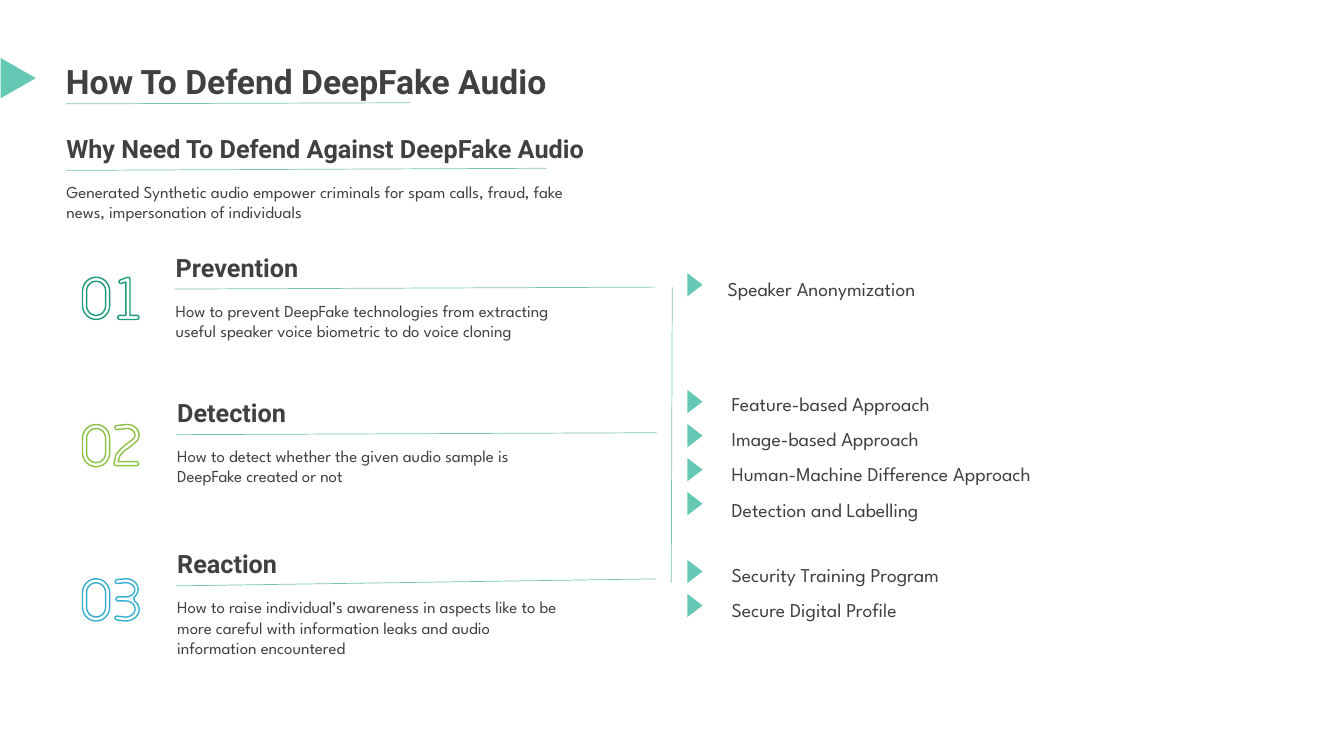
from dataclasses import dataclass
from math import cos, radians, sin

from lxml.etree import SubElement
from pptx import Presentation
from pptx.dml.color import RGBColor
from pptx.enum.shapes import MSO_CONNECTOR, MSO_SHAPE
from pptx.enum.text import MSO_ANCHOR, MSO_AUTO_SIZE, PP_ALIGN
from pptx.oxml.ns import qn
from pptx.util import Pt


@dataclass(frozen=True)
class Theme:
    """Colours, fonts and type sizes of the slide."""
    ink: str = "404040"
    rule: str = "76C4A6"
    accent: str = "64C8B4"
    numbers: tuple = ("1D9A78", "8BC145", "36AFCE")
    head_font: str = "Roboto"
    body_font: str = "League Spartan"
    title: int = 24
    heading: int = 18
    item: int = 14
    body: int = 12
    heading_gap: int = 13


THEME = Theme()

# Each digit is a list of contours made of arcs: centre x, centre y, radius x, radius y, start, end.
ZERO = [
    [(9.7, 10, 9.7, 10, 180, 360), (9.7, 20.2, 9.7, 10, 0, 180)],
    [(9.7, 10, 6.8, 7.1, 180, 360), (9.7, 20.2, 6.8, 7.1, 0, 180)],
]
ONE = [[
    (7.2, 1.45, 1.45, 1.45, -105, 0), (8.65, 27.3, 0, 0, 0, 0),
    (13.6, 28.75, 1.45, 1.45, -90, 90), (1.45, 28.75, 1.45, 1.45, 90, 270),
    (5.75, 27.3, 0, 0, 0, 0), (5.75, 3.4, 0, 0, 0, 0),
    (2.2, 3.2, 1.3, 1.3, 75, 255),
]]
TWO = [[
    (2.1, 2.2, 1.4, 1.4, 80, 260), (9.4, 7.5, 8.5, 7.5, -95, 40),
    (10.8, 16.6, 0, 0, 0, 0), (7.2, 19, 0, 0, 0, 0),
    (4.3, 22.3, 0, 0, 0, 0), (2.9, 26.6, 0, 0, 0, 0),
    (16.2, 28, 1.4, 1.4, -90, 90), (1.4, 28, 1.4, 1.4, 90, 180),
    (1.4, 21.6, 0, 0, 0, 0), (5, 17.3, 0, 0, 0, 0),
    (9.4, 13.7, 0, 0, 0, 0), (9.4, 7.5, 5.6, 4.6, 45, -90),
]]
THREE = [[
    (1.6, 2, 1.4, 1.4, 80, 260), (8, 7.5, 8.6, 7.5, -90, 50),
    (13.7, 14.4, 0, 0, 0, 0), (7.5, 22, 9.8, 8.2, -50, 90),
    (1.5, 28, 1.4, 1.4, 100, 260), (7.5, 21.6, 6.9, 5.8, 90, -90),
    (2.2, 14.4, 1.4, 1.4, 90, 270), (7.4, 7.9, 6.8, 5.1, 90, -90),
]]


def rgb(value):
    """Turn a hex string into a colour."""
    return RGBColor.from_string(value)


def add_run(p, text, size, font, bold=False):
    """Append one formatted run to a paragraph."""
    r = p.add_run()
    r.text = text
    r.font.size, r.font.name, r.font.bold = Pt(size), font, bold
    r.font.color.rgb = rgb(THEME.ink)


def add_title(s, text):
    """Place and format the title placeholder."""
    sp = s.shapes.title
    sp.left, sp.top, sp.width, sp.height = Pt(47), Pt(43.2), Pt(352), Pt(28.8)
    tf = sp.text_frame
    tf.margin_left = tf.margin_right = tf.margin_top = tf.margin_bottom = 0
    tf.vertical_anchor, tf.word_wrap = MSO_ANCHOR.TOP, True
    tf.auto_size = MSO_AUTO_SIZE.SHAPE_TO_FIT_TEXT
    p = tf.paragraphs[0]
    p.alignment = PP_ALIGN.LEFT
    add_run(p, text, THEME.title, THEME.head_font, True)


def add_text_frame(s, x, y, w, h):
    """Add a wrapping text box and return its frame."""
    tf = s.shapes.add_textbox(Pt(x), Pt(y), Pt(w), Pt(h)).text_frame
    tf.word_wrap = True
    tf.auto_size = MSO_AUTO_SIZE.SHAPE_TO_FIT_TEXT
    return tf


def add_block(s, x, y, w, h, heading, body):
    """Add a bold heading with its explanation below."""
    tf = add_text_frame(s, x, y, w, h)
    p = tf.paragraphs[0]
    p.space_after = Pt(THEME.heading_gap)
    add_run(p, heading, THEME.heading, THEME.head_font, True)
    add_run(tf.add_paragraph(), body, THEME.body, THEME.body_font)


def add_rule(s, x1, y1, x2, y2):
    """Add a hairline between two points."""
    sp = s.shapes.add_connector(MSO_CONNECTOR.STRAIGHT, Pt(x1), Pt(y1), Pt(x2), Pt(y2))
    sp.line.color.rgb = rgb(THEME.rule)
    sp.line.width = Pt(0.5)
    SubElement(sp._element.spPr, qn("a:effectLst"))


def add_marker(s, cx, cy, base, height):
    """Add a triangle that points right, centred on a point."""
    sp = s.shapes.add_shape(MSO_SHAPE.ISOSCELES_TRIANGLE, Pt(cx - base / 2),
                            Pt(cy - height / 2), Pt(base), Pt(height))
    sp.rotation = 90
    sp.shadow.inherit = False
    sp.fill.solid()
    sp.fill.fore_color.rgb = rgb(THEME.accent)
    sp.line.fill.background()


def add_items(s, x, y, h, marker_y, items):
    """Add a spaced list with one marker for each item."""
    tf = add_text_frame(s, x, y, 300, h)
    for i, item in enumerate(items):
        add_marker(s, 496.4, marker_y + 24.3 * i, 16.6, 10.8)
        p = tf.add_paragraph() if i else tf.paragraphs[0]
        p.line_spacing = 1.5
        add_run(p, item, THEME.item, THEME.body_font)


def arc_points(x, y, cx, cy, rx, ry, start, end):
    """Return points along an elliptical arc, or one point for a corner."""
    steps = max(1, round(abs(end - start) / 10))
    angles = [radians(start + (end - start) * i / steps) for i in range(steps + 1)]
    return [(Pt(x + cx + rx * cos(a)), Pt(y + cy + ry * sin(a))) for a in angles]


def add_digit(shapes, x, y, contours, color):
    """Draw one outlined digit."""
    outlines = [[pt for arc in contour for pt in arc_points(x, y, *arc)]
                for contour in contours]
    builder = shapes.build_freeform(*outlines[0][0])
    for i, outline in enumerate(outlines):
        if i:
            builder.move_to(*outline[0])
        builder.add_line_segments(outline[1:], close=True)
    sp = builder.convert_to_shape()
    sp.shadow.inherit = False
    sp.fill.background()
    sp.line.color.rgb = rgb(color)
    sp.line.width = Pt(1)


def add_number(s, y, x, digit, color):
    """Draw a grouped two-digit number that starts with zero."""
    shapes = s.shapes.add_group_shape().shapes
    add_digit(shapes, 59, y, ZERO, color)
    add_digit(shapes, x, y, digit, color)


def main():
    """Build the slide and save it."""
    prs = Presentation()
    prs.slide_width, prs.slide_height = Pt(960), Pt(540)
    s = prs.slides.add_slide(prs.slide_layouts[5])

    add_rule(s, 47, 74.2, 293, 73.4)
    add_title(s, "How To Defend DeepFake Audio")
    add_marker(s, 13, 55.8, 28.8, 25.2)
    add_block(s, 40.3, 91.4, 389.5, 70.6, "Why Need To Defend Against DeepFake Audio",
              "Generated Synthetic audio empower criminals for spam calls, fraud, "
              "fake news, impersonation of individuals")
    add_rule(s, 47, 121.7, 390.2, 120.2)

    numbers = [(198, 84.2, ONE), (303.2, 81.4, TWO), (413.4, 82.1, THREE)]
    for number, color in zip(numbers, THEME.numbers):
        add_number(s, *number, color)

    sections = [
        (118.4, 176.4, 1.4, "Prevention",
         "How to prevent DeepFake technologies from extracting useful speaker "
         "voice biometric to do voice cloning"),
        (119.5, 280.4, 1.4, "Detection",
         "How to detect whether the given audio sample is DeepFake created or not"),
        (119.5, 388.4, 5, "Reaction",
         "How to raise individual’s awareness in aspects like to be more careful "
         "with information leaks and audio information encountered"),
    ]
    for x, y, rise, heading, body in sections:
        add_block(s, x, y, 290.9, 85, heading, body)
        add_rule(s, x + 6.4, y + 30.1, x + 349.5, y + 30.1 - rise)

    add_rule(s, 480.2, 205.2, 479.5, 416.2)
    add_items(s, 512.6, 185.8, 29.5, 203.4, ["Speaker Anonymization"])
    add_items(s, 515.5, 267.8, 105.8, 286.9, [
        "Feature-based Approach", "Image-based Approach",
        "Human-Machine Difference Approach", "Detection and Labelling"])
    add_items(s, 515.5, 390.2, 55.4, 408.2,
              ["Security Training Program", "Secure Digital Profile"])
    prs.save("out.pptx")


if __name__ == "__main__":
    main()
